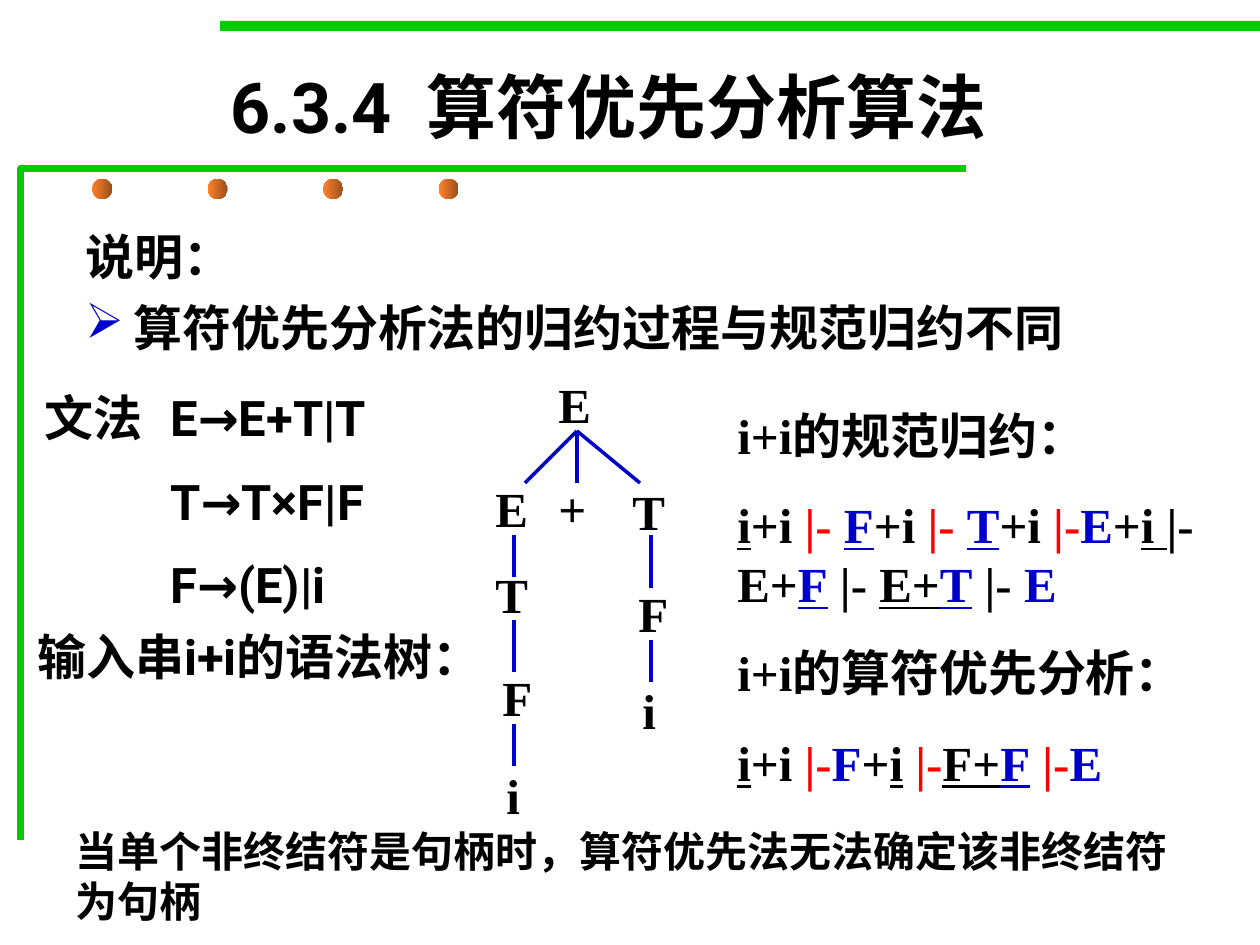
from lxml.etree import SubElement
from pptx import Presentation
from pptx.dml.color import RGBColor
from pptx.enum.shapes import MSO_CONNECTOR, MSO_SHAPE
from pptx.enum.text import MSO_ANCHOR, MSO_AUTO_SIZE, PP_ALIGN
from pptx.oxml.ns import qn
from pptx.util import Emu, Pt

PX = 914400 / 126
SLIDE_SIZE = (1260, 945)
COLORS = {"green": "00CC00", "blue": "0000CC", "red": "FF0000", "black": "000000",
          "dot_light": "FF822D", "dot_dark": "9B4F1B"}
SANS, SERIF = "Roboto", "Times New Roman"

TOP_BAR = (220, 21, 1040, 10)
FRAME = [(21, 840), (21, 168), (966, 168)]
DOT_LEFT, DOT_TOP, DOT_SIZE, DOT_PITCH, DOT_COUNT = 92, 179, 20, 115.5, 4

# A run is (text, marks): r = red, b = blue, u = underlined.
TITLE_BOX = (73, 53, 1071, 105)
TITLE = [("6.3.4  ", "", SANS), ("算符优先分析算法", "", SERIF)]
REMARK = ["说明：", "算符优先分析法的归约过程与规范归约不同"]
GRAMMAR = ["文法 \tE→E+T|T", "\tT→T×F|F", "\tF→(E)|i"]
INPUT = ["输入串i+i的语法树："]
REDUCTIONS = [
    "i+i的规范归约：",
    [("i", "u"), ("+i ", ""), ("|- ", "r"), ("F", "bu"), ("+i ", ""), ("|- ", "r"),
     ("T", "bu"), ("+i ", ""), ("|-", "r"), ("E", "b"), ("+", ""), ("i ", "u"),
     ("|-E+", ""), ("F", "bu"), (" |- ", ""), ("E+", "u"), ("T", "bu"),
     (" |- ", ""), ("E", "b")],
    "i+i的算符优先分析：",
    [("i", "u"), ("+i ", ""), ("|-", "r"), ("F", "b"), ("+", ""), ("i", "u"),
     (" ", ""), ("|-", "r"), ("F+", "u"), ("F", "bu"), (" ", ""), ("|-", "r"),
     ("E", "b")],
]
NOTE = ["当单个非终结符是句柄时，算符优先法无法确定该非终结符为句柄"]

# paragraphs, box, font, size, paragraph format
TEXTS = [
    (REMARK, (73, 220, 1071, 147), SANS, 28, {"space_before": Pt(7)}),
    (GRAMMAR, (32, 388, 420, 233), SANS, 28,
     {"space_before": Pt(17.5), "line_spacing": 0.9}),
    (INPUT, (25, 620, 498, 72), SANS, 28, {}),
    (REDUCTIONS, (725, 399, 504, 399), SERIF, 28, {"space_before": Pt(17.5)}),
    (NOTE, (63, 819, 1124, 113), SERIF, 24, {"space_before": Pt(15)}),
]

NODE_SIZE = (53, 72)
NODES = [("E", 546, 368), ("E", 483, 472), ("+", 546, 472), ("T", 620, 475),
         ("T", 483, 558), ("F", 490, 661), ("i", 494, 759),
         ("F", 626, 577), ("i", 630, 674)]
EDGES = [(577, 431, x, 483) for x in (525, 577, 640)]
EDGES += [(514, top, 514, bottom) for top, bottom in ((535, 577), (620, 672), (724, 766))]
EDGES += [(651, top, 651, bottom) for top, bottom in ((535, 588), (640, 682))]


def px(*lengths):
    return [Emu(round(length * PX)) for length in lengths]


def color(name):
    return RGBColor.from_string(COLORS[name])


def set_all(target, values):
    for name, value in values.items():
        setattr(target, name, value)


def add_run(paragraph, text, marks, font, size):
    run = paragraph.add_run()
    run.text = text
    set_all(run.font, {"name": font, "size": Pt(size), "bold": True,
                       "underline": True if "u" in marks else None})
    ink = "red" if "r" in marks else "blue" if "b" in marks else "black"
    run.font.color.rgb = color(ink)


def add_text(shapes, paragraphs, box, font, size, paragraph_format):
    frame = shapes.add_textbox(*px(*box)).text_frame
    set_all(frame, {"word_wrap": True, "auto_size": MSO_AUTO_SIZE.SHAPE_TO_FIT_TEXT})
    for index, content in enumerate(paragraphs):
        paragraph = frame.add_paragraph() if index else frame.paragraphs[0]
        set_all(paragraph, paragraph_format)
        runs = [(content, "")] if isinstance(content, str) else content
        for text, marks in runs:
            add_run(paragraph, text, marks, font, size)
    return frame


def add_arrow_bullet(paragraph):
    properties = paragraph._p.get_or_add_pPr()
    indent = px(48)[0]
    properties.set("marL", str(indent))
    properties.set("indent", str(-indent))
    bullet_color = SubElement(properties, qn("a:buClr"))
    SubElement(bullet_color, qn("a:srgbClr"), val=COLORS["blue"])
    SubElement(properties, qn("a:buChar"), char="➢")


def add_tab_stop(paragraph, position):
    tabs = SubElement(paragraph._p.get_or_add_pPr(), qn("a:tabLst"))
    SubElement(tabs, qn("a:tab"), pos=str(px(position)[0]), algn="l")


def add_decoration(shapes):
    bar = shapes.add_shape(MSO_SHAPE.RECTANGLE, *px(*TOP_BAR))
    bar.fill.solid()
    bar.fill.fore_color.rgb = color("green")
    bar.line.fill.background()

    builder = shapes.build_freeform(*FRAME[0], scale=PX)
    builder.add_line_segments(FRAME[1:], close=False)
    frame = builder.convert_to_shape()
    frame.fill.background()
    frame.line.color.rgb = color("green")
    frame.line.width = Pt(4)

    dots = []
    for index in range(DOT_COUNT):
        dot = shapes.add_shape(MSO_SHAPE.OVAL, *px(
            DOT_LEFT + index * DOT_PITCH, DOT_TOP, DOT_SIZE, DOT_SIZE))
        dot.fill.gradient()
        dot.fill.gradient_angle = 0
        for stop, name in zip(dot.fill.gradient_stops, ("dot_light", "dot_dark")):
            stop.color.rgb = color(name)
        dot.line.fill.background()
        dots.append(dot)
    for shape in (bar, frame, *dots):
        shape.shadow.inherit = False


def add_title(title):
    set_all(title, dict(zip(("left", "top", "width", "height"), px(*TITLE_BOX))))
    set_all(title.text_frame, {"vertical_anchor": MSO_ANCHOR.MIDDLE,
                               "auto_size": MSO_AUTO_SIZE.NONE})
    paragraph = title.text_frame.paragraphs[0]
    paragraph.alignment = PP_ALIGN.CENTER
    for text, marks, font in TITLE:
        add_run(paragraph, text, marks, font, 40)


def add_syntax_tree(shapes):
    for symbol, left, top in NODES:
        add_text(shapes, [symbol], (left, top, *NODE_SIZE), SERIF, 28, {})
    for edge in EDGES:
        line = shapes.add_connector(MSO_CONNECTOR.STRAIGHT, *px(*edge))
        line.line.color.rgb = color("blue")
        line.line.width = Pt(2)
        SubElement(line._element.spPr, qn("a:effectLst"))


def main():
    presentation = Presentation()
    presentation.slide_width, presentation.slide_height = px(*SLIDE_SIZE)
    slide = presentation.slides.add_slide(presentation.slide_layouts[5])
    add_decoration(slide.shapes)
    add_title(slide.shapes.title)
    remark, grammar, *_ = [add_text(slide.shapes, *text) for text in TEXTS]
    add_arrow_bullet(remark.paragraphs[1])
    for paragraph in grammar.paragraphs:
        add_tab_stop(paragraph, 126)
    add_syntax_tree(slide.shapes.add_group_shape().shapes)
    presentation.save("out.pptx")


if __name__ == "__main__":
    main()
